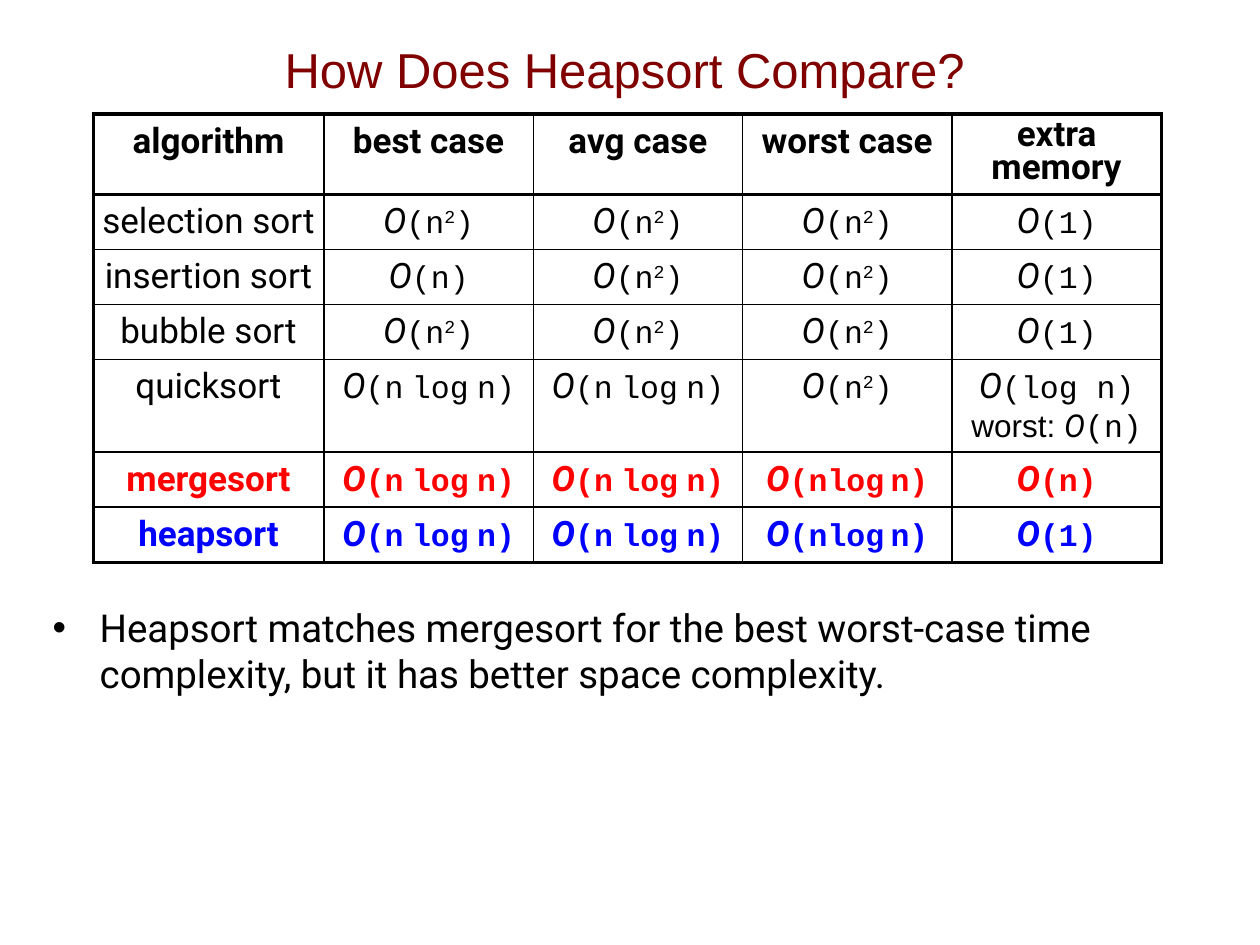
from dataclasses import dataclass

from lxml import etree
from pptx import Presentation
from pptx import util as u
from pptx.dml.color import RGBColor
from pptx.enum import text
from pptx.oxml import ns


@dataclass(frozen=True)
class Theme:
    title: RGBColor = RGBColor(0x80, 0, 0)
    ink: RGBColor = RGBColor(0, 0, 0)
    merge: RGBColor = RGBColor(0xFF, 0, 0)
    heap: RGBColor = RGBColor(0, 0, 0xFF)
    title_size: int = 28
    note_size: int = 22
    label_size: int = 20
    code_size: int = 18
    gap_size: int = 8
    tight_gap_size: int = 6
    sans: str = "Arial"
    body: str = "Roboto"
    code: str = "Courier New"
    thin: float = 1
    thick: float = 2.25


THEME = Theme()
LABEL = {"name": THEME.body, "size": u.Pt(THEME.label_size)}
CODE = {"name": THEME.code, "size": u.Pt(THEME.code_size)}
GAP = CODE | {"size": u.Pt(THEME.gap_size)}
TIGHT_GAP = CODE | {"size": u.Pt(THEME.tight_gap_size)}
SUPER = CODE | {"baseline": 30000}
BIG_O = ("O", LABEL | {"italic": True})


def cost(argument):
    return [BIG_O, (f"({argument})", CODE)]


CONSTANT, LINEAR = cost("1"), cost("n")
SQUARE = [BIG_O, ("(n", CODE), ("2", SUPER), (")", CODE)]
N_LOG_N = [BIG_O, ("(n", CODE), (" ", GAP), ("log", CODE), (" ", GAP), ("n)", CODE)]
TIGHT_N_LOG_N = [BIG_O, ("(nlog", CODE), (" ", TIGHT_GAP), ("n)", CODE)]
WORST_LINEAR = [
    ("worst: ", CODE | {"name": THEME.sans}),
    ("O", LABEL | {"italic": True, "size": u.Pt(THEME.code_size)}),
    ("(n)", CODE),
]
QUICK_MEMORY = cost("log n") + [("\n", CODE)] + WORST_LINEAR

HEADINGS = ["algorithm", "best case", "avg case", "worst case", "extra memory"]
ALGORITHMS = [
    ("selection sort", SQUARE, SQUARE, SQUARE, CONSTANT),
    ("insertion sort", LINEAR, SQUARE, SQUARE, CONSTANT),
    ("bubble sort", SQUARE, SQUARE, SQUARE, CONSTANT),
    ("quicksort", N_LOG_N, N_LOG_N, SQUARE, QUICK_MEMORY),
    ("mergesort", N_LOG_N, N_LOG_N, TIGHT_N_LOG_N, LINEAR),
    ("heapsort", N_LOG_N, N_LOG_N, TIGHT_N_LOG_N, CONSTANT),
]
EMPHASIS = {
    "mergesort": {"bold": True, "color": THEME.merge},
    "heapsort": {"bold": True, "color": THEME.heap},
}
COLUMN_WIDTHS = [4.65] + [4.22] * 4
ROW_HEIGHTS = [1.61, 1.11, 1.1, 1.11, 1.87, 1.11, 1.11]


def write_runs(paragraph, runs, shared):
    for words, run_format in runs:
        if words == "\n":
            paragraph.add_line_break()
            continue
        run = paragraph.add_run()
        run.text = words
        values = {"color": THEME.ink} | run_format | shared
        run.font.color.rgb = values.pop("color")
        baseline = values.pop("baseline", None)
        for key, value in values.items():
            setattr(run.font, key, value)
        if baseline:
            run.font._element.set("baseline", str(baseline))


def add_text(slide, left, top, width, height, words, run_format, anchor):
    frame = slide.shapes.add_textbox(*map(u.Cm, (left, top, width, height))).text_frame
    frame.word_wrap = True
    frame.vertical_anchor = anchor
    paragraph = frame.paragraphs[0]
    write_runs(paragraph, [(words, run_format)], {})
    return paragraph


def add_bullet(paragraph):
    properties = paragraph._p.get_or_add_pPr()
    indent = u.Cm(0.95)
    properties.set("marL", str(indent))
    properties.set("indent", str(-indent))
    etree.SubElement(properties, ns.qn("a:buFont"), typeface=THEME.sans)
    etree.SubElement(properties, ns.qn("a:buChar"), char="•")


def draw_borders(cell, widths):
    properties = cell._tc.get_or_add_tcPr()
    for side, width in widths.items():
        line = etree.SubElement(properties, ns.qn(f"a:ln{side}"), w=str(u.Pt(width)))
        fill = etree.SubElement(line, ns.qn("a:solidFill"))
        etree.SubElement(fill, ns.qn("a:srgbClr"), val=str(THEME.ink))


def fill_cell(cell, runs, shared, widths, side_margin):
    draw_borders(cell, widths)
    cell.fill.background()
    margins = {
        "margin_left": side_margin, "margin_right": side_margin,
        "margin_top": 0.13, "margin_bottom": 0.13,
    }
    for key, value in margins.items():
        setattr(cell, key, u.Cm(value))
    paragraph = cell.text_frame.paragraphs[0]
    paragraph.alignment = text.PP_ALIGN.CENTER
    write_runs(paragraph, runs, shared)


def border_widths(row, column):
    heavy = {
        "L": column == 0,
        "R": column == len(COLUMN_WIDTHS) - 1,
        "T": row in (0, 1),
        "B": row in (0, len(ROW_HEIGHTS) - 1),
    }
    return {side: THEME.thick if outer else THEME.thin for side, outer in heavy.items()}


def add_comparison(slide):
    table = slide.shapes.add_table(
        len(ROW_HEIGHTS), len(COLUMN_WIDTHS), u.Cm(1.88), u.Cm(2.3),
        u.Cm(sum(COLUMN_WIDTHS)), u.Cm(sum(ROW_HEIGHTS)),
    ).table
    table.first_row = table.horz_banding = False
    for column, width in zip(table.columns, COLUMN_WIDTHS):
        column.width = u.Cm(width)
    for row, height in zip(table.rows, ROW_HEIGHTS):
        row.height = u.Cm(height)
    for row, entries in enumerate([HEADINGS, *ALGORITHMS]):
        shared = EMPHASIS.get(entries[0], {}) if row else {"bold": True}
        for column, entry in enumerate(entries):
            runs = [(entry, LABEL)] if isinstance(entry, str) else entry
            side_margin = 0 if row and column == 0 else 0.25
            fill_cell(table.cell(row, column), runs, shared,
                      border_widths(row, column), side_margin)
    memory_heading = table.cell(0, len(HEADINGS) - 1)
    memory_heading.text_frame.paragraphs[0].line_spacing = 0.8


def main():
    deck = Presentation()
    deck.slide_width, deck.slide_height = u.Cm(25.4), u.Cm(19.05)
    slide = deck.slides.add_slide(deck.slide_layouts[6])
    title = add_text(
        slide, 0.84, 0.2, 23.5, 2.36, "How Does Heapsort Compare?",
        {"name": THEME.sans, "size": u.Pt(THEME.title_size), "color": THEME.title},
        text.MSO_ANCHOR.MIDDLE,
    )
    title.alignment = text.PP_ALIGN.CENTER
    add_comparison(slide)
    conclusion = add_text(
        slide, 0.81, 12.05, 24.23, 5.88,
        "Heapsort matches mergesort for the best worst-case time complexity, "
        "but it has better space complexity.",
        {"name": THEME.body, "size": u.Pt(THEME.note_size)},
        text.MSO_ANCHOR.TOP,
    )
    add_bullet(conclusion)
    deck.save("out.pptx")


if __name__ == "__main__":
    main()
